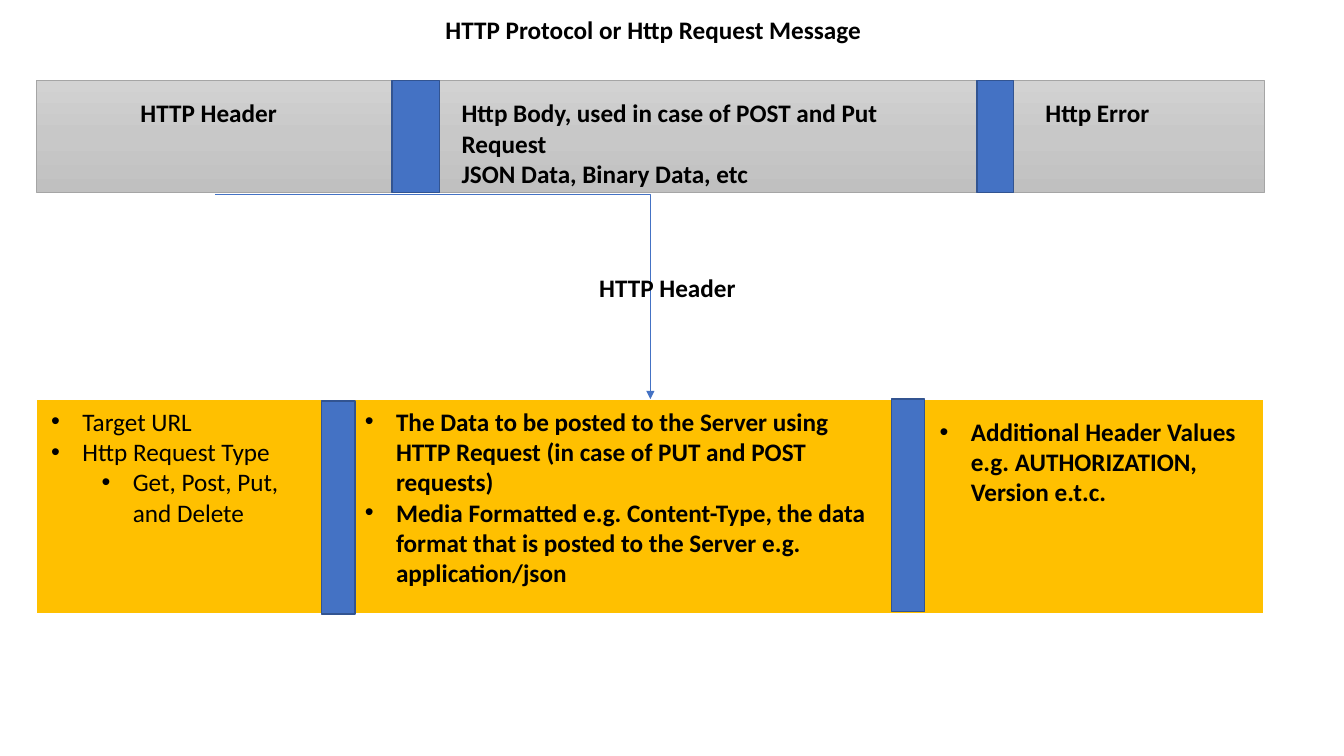
import copy
import dataclasses

import pptx
import pptx.dml.color
import pptx.enum.shapes
import pptx.enum.text
import pptx.oxml
import pptx.oxml.ns
import pptx.util

Inches = pptx.util.Inches
Pt = pptx.util.Pt
qn = pptx.oxml.ns.qn
ALIGN = pptx.enum.text.PP_ALIGN


# Colours and type
@dataclasses.dataclass(frozen=True)
class Theme:
    font: str = "Calibri"
    size: int = 18
    text: str = "000000"
    divider: str = "4472C4"
    divider_line: str = "325491"
    message_stops: tuple = ("D2D2D2", "C8C8C8", "C0C0C0")
    message_line: str = "A5A5A5"
    detail: str = "FFC000"
    detail_line: str = "FFFFFF"


THEME = Theme()


def rgb(value):
    return pptx.dml.color.RGBColor.from_string(value)


def place(shape, left, top, width, height):
    shape.left, shape.top = Inches(left), Inches(top)
    shape.width, shape.height = Inches(width), Inches(height)


def add_bullet(paragraph, level):
    paragraph.level = level
    properties = paragraph._p.get_or_add_pPr()
    properties.set("marL", str(Inches(0.31 + 0.5 * level)))
    properties.set("indent", str(Inches(-0.31)))
    bullet_font = pptx.oxml.parse_xml(
        '<a:buFont xmlns:a="http://schemas.openxmlformats.org/drawingml/2006/main"'
        ' typeface="Arial"/>')
    bullet = copy.deepcopy(bullet_font)
    bullet.tag = qn("a:buChar")
    del bullet.attrib["typeface"]
    bullet.set("char", "•")
    properties.extend([bullet_font, bullet])


def write_text(shape, lines, bold=True, align=ALIGN.LEFT, bulleted=False):
    """Fill a shape with (text, level) lines."""
    frame = shape.text_frame
    frame.word_wrap = True
    frame.vertical_anchor = pptx.enum.text.MSO_ANCHOR.TOP
    frame.auto_size = pptx.enum.text.MSO_AUTO_SIZE.SHAPE_TO_FIT_TEXT
    for index, (text, level) in enumerate(lines):
        paragraph = frame.add_paragraph() if index else frame.paragraphs[0]
        paragraph.text = text
        paragraph.alignment = align
        if bulleted:
            add_bullet(paragraph, level)
        font = paragraph.font
        font.name, font.size, font.bold = THEME.font, Pt(THEME.size), bold
        font.color.rgb = rgb(THEME.text)


def add_text(slide, box, lines, **style):
    shape = slide.shapes.add_textbox(*map(Inches, box))
    write_text(shape, lines, **style)


def add_box(slide, box, fill, line, line_width):
    shape = slide.shapes.add_shape(
        pptx.enum.shapes.MSO_SHAPE.RECTANGLE, *map(Inches, box))
    shape.shadow.inherit = False
    shape.line.color.rgb = rgb(line)
    shape.line.width = Pt(line_width)
    if isinstance(fill, tuple):
        fill_gradient(shape, fill)
    else:
        shape.fill.solid()
        shape.fill.fore_color.rgb = rgb(fill)


def fill_gradient(shape, colours):
    """Spread the colours evenly from top to bottom."""
    shape.fill.gradient()
    shape.fill.gradient_angle = 270
    stop_list = shape._element.spPr.find(".//" + qn("a:gsLst"))
    while len(stop_list) < len(colours):
        stop_list.append(copy.deepcopy(stop_list[0]))
    for index, (stop, colour) in enumerate(zip(shape.fill.gradient_stops, colours)):
        stop.position = index / (len(colours) - 1)
        stop.color.rgb = rgb(colour)


def add_divider(slide, *box):
    add_box(slide, box, THEME.divider, THEME.divider_line, 1)


def add_bent_arrow(slide, *ends):
    connector = slide.shapes.add_connector(
        pptx.enum.shapes.MSO_CONNECTOR.ELBOW, *map(Inches, ends))
    connector.line.color.rgb = rgb(THEME.divider)
    connector.line.width = Pt(0.5)
    properties = connector._element.spPr
    properties.find(qn("a:prstGeom")).set("prst", "bentConnector2")
    head = properties.find(qn("a:ln")).makeelement(qn("a:tailEnd"), {"type": "triangle"})
    properties.find(qn("a:ln")).append(head)
    properties.append(properties.makeelement(qn("a:effectLst"), {}))


def main():
    presentation = pptx.Presentation()
    presentation.slide_width = Inches(13.33)
    presentation.slide_height = Inches(7.5)
    slide = presentation.slides.add_slide(presentation.slide_layouts[5])

    # Title
    title = slide.shapes.title
    place(title, 0.41, 0.09, 12.14, 0.4)
    write_text(title, [("HTTP Protocol or Http Request Message", 0)], align=ALIGN.CENTER)

    # Request message
    add_box(slide, (0.36, 0.8, 12.18, 1.11), THEME.message_stops, THEME.message_line, 0.5)
    add_divider(slide, 3.89, 0.8, 0.47, 1.11)
    add_divider(slide, 9.69, 0.8, 0.36, 1.11)
    add_text(slide, (0.41, 0.92, 3.32, 0.4), [("HTTP Header", 0)], align=ALIGN.CENTER)
    add_text(slide, (4.48, 0.92, 5.02, 1.01), [
        ("Http Body, used in case of POST and Put Request", 0),
        ("JSON Data, Binary Data, etc", 0)])
    add_text(slide, (10.27, 0.92, 2.13, 0.4), [("Http Error", 0)])

    # Header details, reached by the arrow
    add_box(slide, (0.36, 3.96, 12.18, 2.13), THEME.detail, THEME.detail_line, 1.5)
    add_bent_arrow(slide, 2.13, 1.93, 6.45, 3.96)
    add_text(slide, (4.36, 2.65, 4.52, 0.4), [("HTTP Header", 0)], align=ALIGN.CENTER)
    add_divider(slide, 3.19, 3.98, 0.33, 2.11)
    add_divider(slide, 8.84, 3.96, 0.33, 2.11)
    add_text(slide, (0.41, 3.98, 2.56, 1.31), [
        ("Target URL", 0),
        ("Http Request Type", 0),
        ("Get, Post, Put, and Delete", 1)], bold=False, bulleted=True)
    add_text(slide, (3.52, 3.98, 5.26, 1.92), [
        ("The Data to be posted to the Server using HTTP Request "
         "(in case of PUT and POST requests)", 0),
        ("Media Formatted e.g. Content-Type, the data format that is posted "
         "to the Server e.g. application/json", 0)], bulleted=True)
    add_text(slide, (9.22, 4.08, 3.32, 1.01), [
        ("Additional Header Values e.g. AUTHORIZATION, Version e.t.c.", 0)], bulleted=True)

    presentation.save("out.pptx")


if __name__ == "__main__":
    main()
